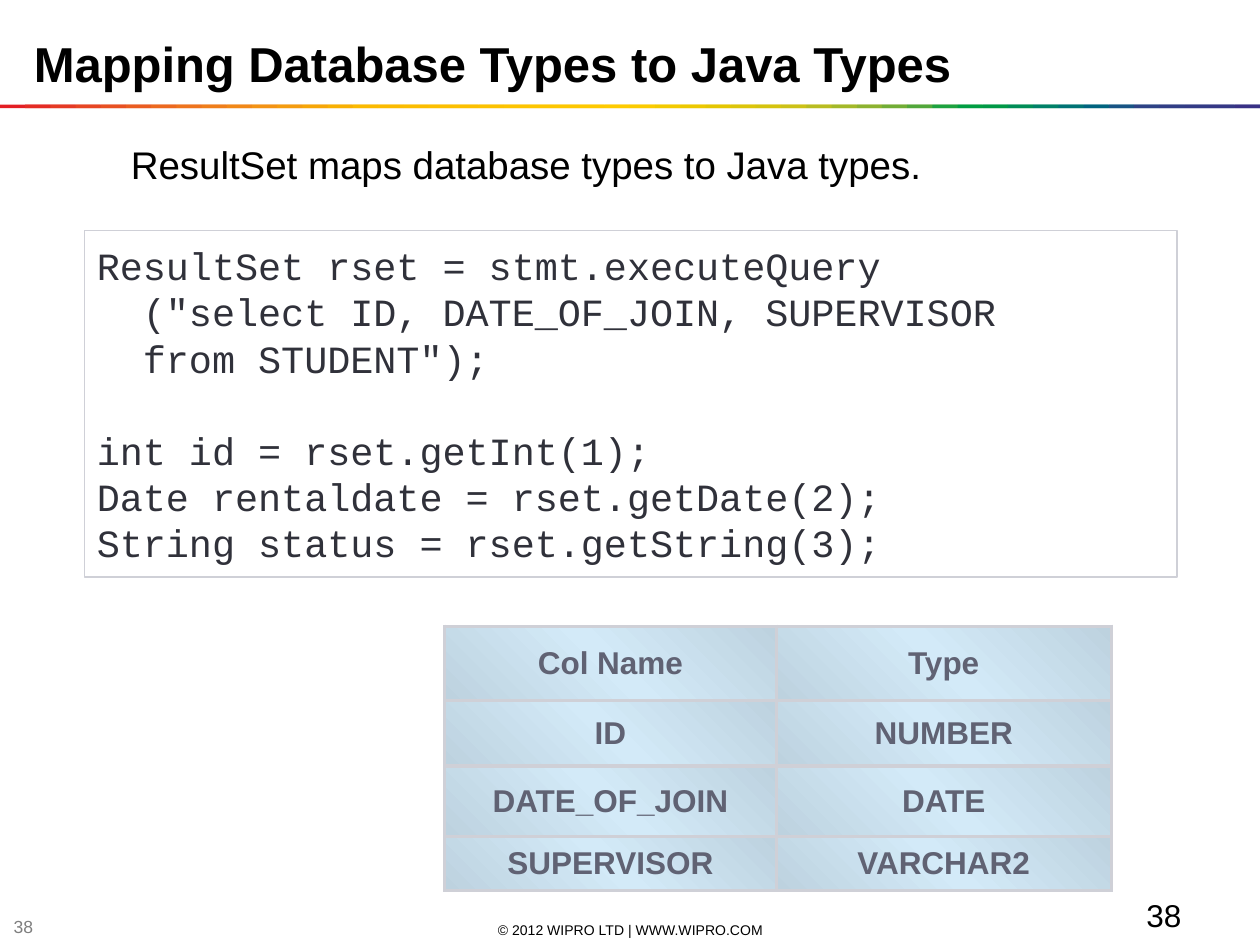
from lxml import etree
from pptx import Presentation
from pptx.dml.color import RGBColor
from pptx.enum.shapes import MSO_SHAPE
from pptx.enum.text import MSO_ANCHOR, PP_ALIGN
from pptx.oxml import parse_xml
from pptx.oxml.ns import nsdecls
from pptx.util import Inches, Pt

RECT = MSO_SHAPE.RECTANGLE
TOP, MIDDLE = MSO_ANCHOR.TOP, MSO_ANCHOR.MIDDLE
LEFT, CENTER = PP_ALIGN.LEFT, PP_ALIGN.CENTER

COLORS = {
    "black": "000000", "grey": "7F7F7F", "white": "FFFFFF", "code": "30313A",
    "rule": "CFD0D7", "cell_text": "606273",
    "cell_dark": "BDD2DF", "cell_light": "D3EAF8",
}
RAINBOW = """
    E31E24 E42C24 E53A24 E74623 E85122 EA5D21 EC691F EE741D EF7E1A F18817
    F39314 F49C0F F6A607 F8B002 FBBA00 FBBB00 FBBD00 FCBF00 FCC000 FCC200
    FDC400 FDC600 FDC700 FEC900 FECB00 FBCB00 F3CA00 ECC800 E4C602 DCC50A
    D5C30E CCC117 B8BC21 A3B829 8CB230 71AD36 51A73B 1DA240 009D43 009846
    008C57 008068 007275 00637F 185384 2E4285 313E85 333B85 353885 393185
""".split()

# text, (left, top, width, height), anchor, alignment, size, colour, bold
TEXTS = [
    ("© 2012 WIPRO LTD | WWW.WIPRO.COM", (3.42, 7.3, 3.17, 0.16),
     MIDDLE, CENTER, 8, "black", False),
    ("38", (0.01, 7.27, 0.39, 0.16), MIDDLE, LEFT, 10, "grey", False),
    ("ResultSet maps database types to Java types.", (0.94, 1.07, 8.08, 0.47),
     TOP, LEFT, 22, "black", False),
    ("38", (9, 7.06, 0.96, 0.35), TOP, LEFT, 18, "black", False),
    ("Mapping Database Types to Java Types", (0.17, 0, 9.83, 1),
     MIDDLE, LEFT, 28, "black", True),
]
CODE_BLOCKS = [
    ["ResultSet rset = stmt.executeQuery",
     '  ("select ID, DATE_OF_JOIN, SUPERVISOR',
     '  from STUDENT");'],
    ["int id = rset.getInt(1);",
     "Date rentaldate = rset.getDate(2);",
     "String status = rset.getString(3);"],
]
CODE_BOX = (0.67, 1.83, 8.67, 2.75)
CODE_LEADING = 26.4

TYPE_ROWS = [
    ("Col Name", "Type"),
    ("ID", "NUMBER"),
    ("DATE_OF_JOIN", "DATE"),
    ("SUPERVISOR", "VARCHAR2"),
]
TABLE_POS = (3.53, 4.97)
COL_WIDTHS = (2.63, 2.66)
ROW_HEIGHTS = (0.59, 0.52, 0.56, 0.43)


def rgb(name):
    return RGBColor.from_string(COLORS[name])


def inches(values):
    return [Inches(v) for v in values]


def write(p, text, size, color, bold=False, font="Arial"):
    r = p.add_run()
    r.text = text
    for name, value in {"name": font, "size": Pt(size), "bold": bold}.items():
        setattr(r.font, name, value)
    r.font.color.rgb = rgb(color)


def add_text(slide, text, box, anchor, align, size, color, bold):
    tf = slide.shapes.add_textbox(*inches(box)).text_frame
    tf.word_wrap = True
    tf.vertical_anchor = anchor
    p = tf.paragraphs[0]
    p.alignment = align
    write(p, text, size, color, bold)


def add_rainbow(slide, top=0.83, height=0.03):
    group = slide.shapes.add_group_shape()
    step = 10 / len(RAINBOW)
    for i, color in enumerate(RAINBOW):
        left = i * step
        width = min(2 * step, 10 - left)  # overlap hides seams
        sp = group.shapes.add_shape(RECT, *inches((left, top, width, height)))
        sp.shadow.inherit = False
        sp.fill.solid()
        sp.fill.fore_color.rgb = RGBColor.from_string(color)
        sp.line.fill.background()


def add_code(slide):
    sp = slide.shapes.add_shape(RECT, *inches(CODE_BOX))
    sp.shadow.inherit = False
    sp.fill.solid()
    sp.fill.fore_color.rgb = rgb("white")
    sp.line.color.rgb = rgb("rule")
    sp.line.width = Pt(1)
    tf = sp.text_frame
    tf.word_wrap = False
    tf.vertical_anchor = MIDDLE
    p = tf.paragraphs[0]
    for b, block in enumerate(CODE_BLOCKS):
        for n, line in enumerate(block):
            if b or n:
                p = tf.add_paragraph()
            if b and not n:
                p.space_before = Pt(CODE_LEADING)
            p.alignment = LEFT
            p.line_spacing = Pt(CODE_LEADING)
            write(p, line, 22, "code", font="Courier New")


def style_cell(cell):
    """Give a cell its four borders and its diagonal gradient."""
    tc_pr = cell._tc.get_or_add_tcPr()
    for side in ("lnL", "lnR", "lnT", "lnB"):
        tc_pr.append(parse_xml(
            f'<a:{side} {nsdecls("a")} w="{Pt(2)}"><a:solidFill>'
            f'<a:srgbClr val="{COLORS["rule"]}"/></a:solidFill></a:{side}>'))
    grad = parse_xml(f'<a:gradFill {nsdecls("a")}><a:gsLst/>'
                     f'<a:lin ang="{315 * 60000}" scaled="0"/></a:gradFill>')
    ns = "{" + grad.nsmap["a"] + "}"
    for pos, color in ((0, "cell_dark"), (50, "cell_light"), (100, "cell_dark")):
        stop = etree.SubElement(grad[0], ns + "gs", pos=str(pos * 1000))
        etree.SubElement(stop, ns + "srgbClr", val=COLORS[color])
    tc_pr.append(grad)


def add_type_table(slide):
    size = (sum(COL_WIDTHS), sum(ROW_HEIGHTS))
    table = slide.shapes.add_table(len(TYPE_ROWS), len(COL_WIDTHS),
                                   *inches(TABLE_POS + size)).table
    table.horz_banding = False
    for col, width in zip(table.columns, COL_WIDTHS):
        col.width = Inches(width)
    for row, height, texts in zip(table.rows, ROW_HEIGHTS, TYPE_ROWS):
        row.height = Inches(height)
        for cell, text in zip(row.cells, texts):
            cell.margin_top = cell.margin_bottom = 0
            cell.vertical_anchor = MIDDLE
            style_cell(cell)
            p = cell.text_frame.paragraphs[0]
            p.alignment = CENTER
            write(p, text, 18, "cell_text", bold=True)


def main():
    prs = Presentation()
    prs.slide_width, prs.slide_height = Inches(10), Inches(7.5)
    slide = prs.slides.add_slide(prs.slide_layouts[6])
    add_rainbow(slide)
    for item in TEXTS:
        add_text(slide, *item)
    add_code(slide)
    add_type_table(slide)
    prs.save("out.pptx")


if __name__ == "__main__":
    main()
